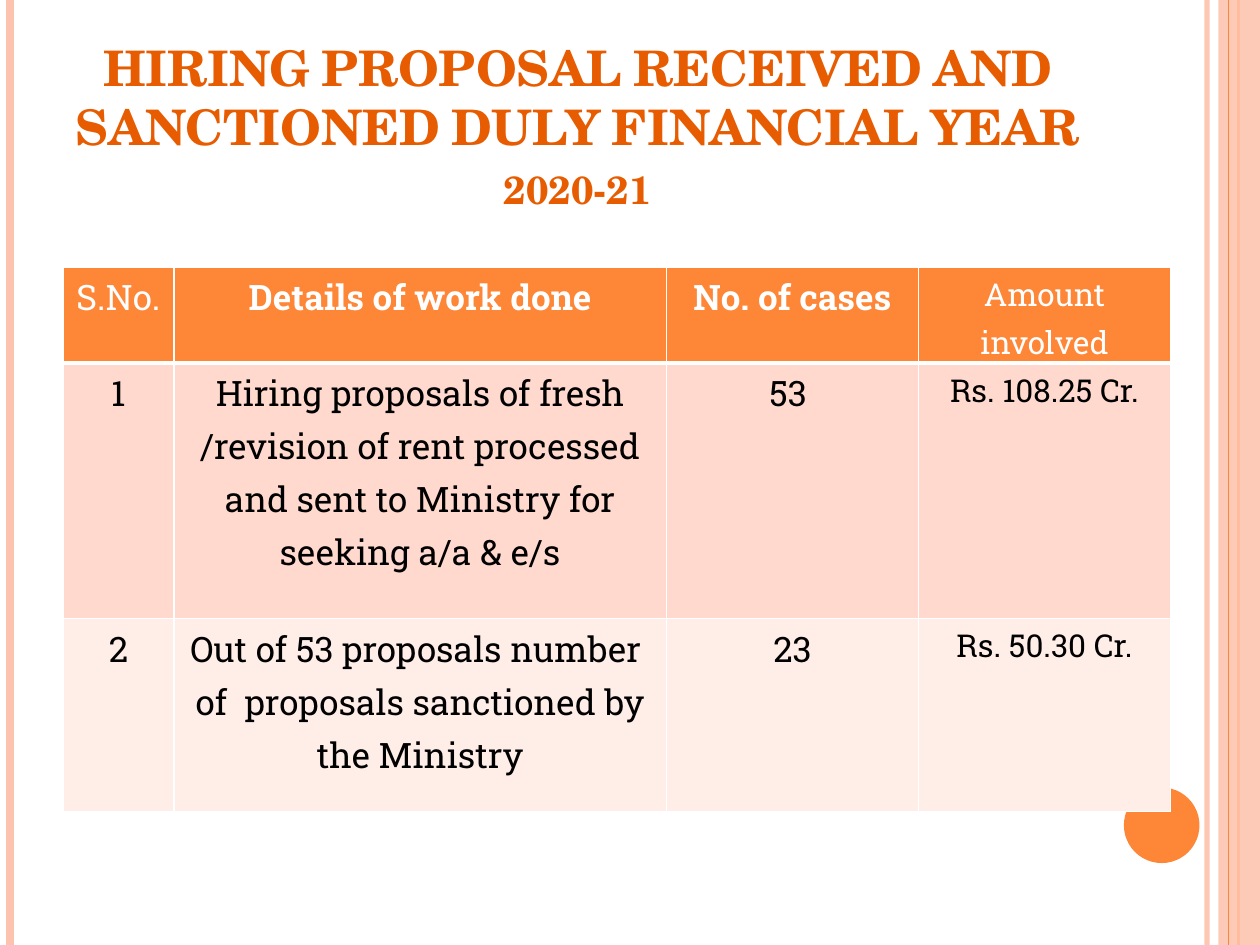
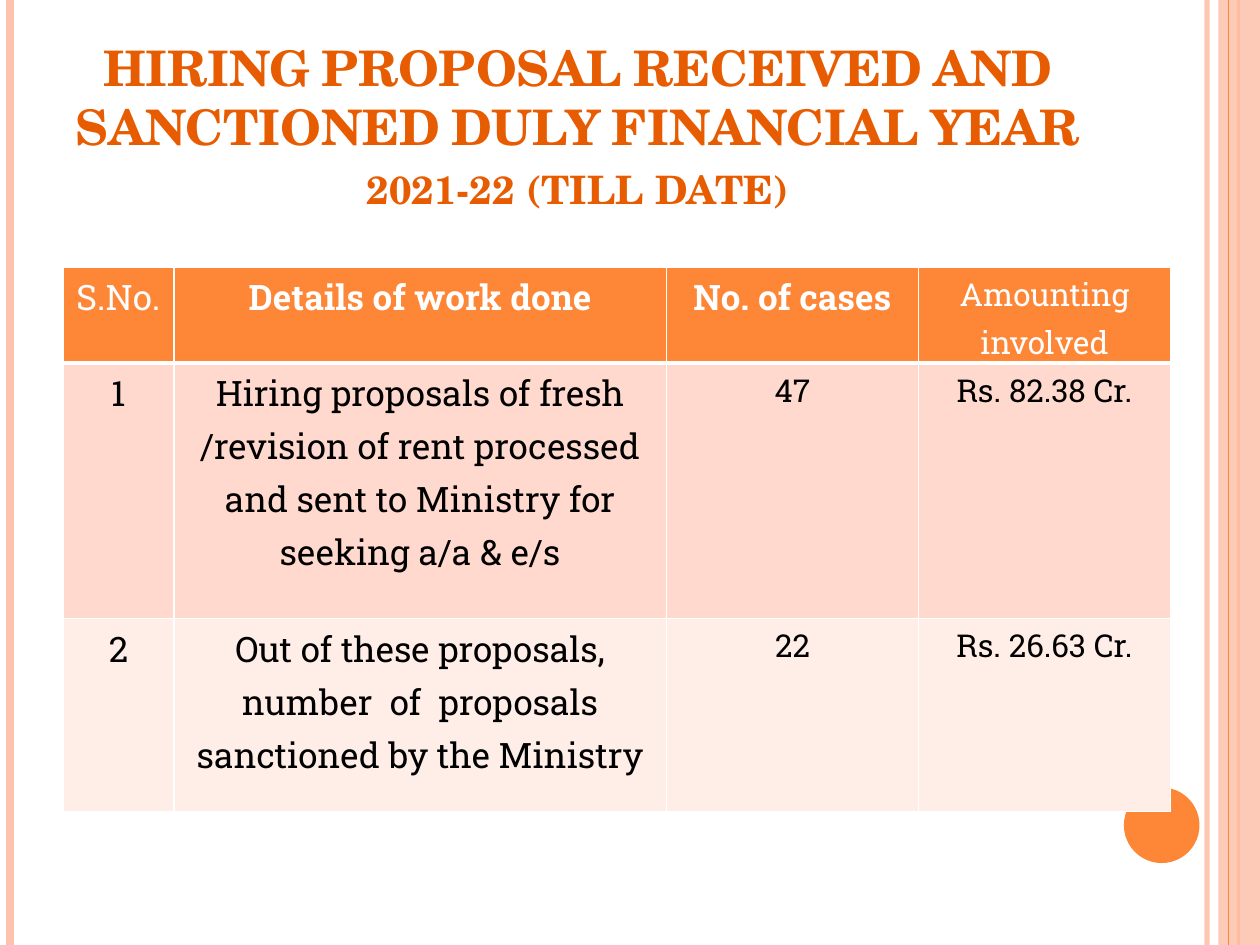
from lxml.etree import SubElement
from pptx import Presentation
from pptx.dml.color import RGBColor
from pptx.enum.shapes import MSO_CONNECTOR, MSO_SHAPE
from pptx.enum.text import MSO_ANCHOR, MSO_AUTO_SIZE, PP_ALIGN
from pptx.oxml.ns import qn
from pptx.util import Inches, Pt

WIDTH, HEIGHT = 10, 7.5
ORANGE, PEACH, RUST = "FE8637", "FEC3AE", "E75C01"
WHITE, BLACK = "FFFFFF", "000000"
BANDS = [ORANGE, "FFD9CE", "FFEDE8"]
SERIF, SLAB = "TeX Gyre Schola", "Roboto Slab"
COLS = [0.88, 3.91, 2, 2]
ROWS = [0.76, 2.03, 1.53]
RULES = [(9.58, PEACH, 3, 93), (0.08, PEACH, 4.5, 100), (9.83, ORANGE, 1.5, 100)]


def color(code):
    return RGBColor.from_string(code)


def fade(item, alpha):
    if alpha < 100:
        for node in item._element.iter(qn("a:srgbClr")):
            SubElement(node, qn("a:alpha"), val=str(alpha * 1000))


class Deck:
    def __init__(self):
        self.file = Presentation()
        self.file.slide_width = Inches(WIDTH)
        self.file.slide_height = Inches(HEIGHT)
        self.slide = None

    def start(self, title):
        self.slide = self.file.slides.add_slide(self.file.slide_layouts[5])
        for rule in RULES:
            self.rule(*rule)
        self.shape(MSO_SHAPE.RECTANGLE, 9.67, 0, 0.33, HEIGHT, PEACH, 87)
        self.rule(9.75, ORANGE, 0.75, 100)
        self.shape(MSO_SHAPE.OVAL, 8.92, 6.25, 0.6, 0.6, ORANGE, 100)
        self.title(title)

    def rule(self, x, code, width, alpha):
        line = self.slide.shapes.add_connector(
            MSO_CONNECTOR.STRAIGHT, Inches(x), 0, Inches(x), Inches(HEIGHT))
        line.line.color.rgb = color(code)
        line.line.width = Pt(width)
        SubElement(line._element.spPr, qn("a:effectLst"))
        fade(line, alpha)

    def shape(self, kind, x, y, w, h, code, alpha):
        item = self.slide.shapes.add_shape(
            kind, Inches(x), Inches(y), Inches(w), Inches(h))
        item.shadow.inherit = False
        item.fill.solid()
        item.fill.fore_color.rgb = color(code)
        item.line.fill.background()
        fade(item, alpha)

    def text(self, para, words, font, size, code, bold):
        para.alignment = PP_ALIGN.CENTER
        run = para.add_run()
        run.text = words
        run.font.name = font
        run.font.size = Pt(size)
        run.font.bold = bold
        run.font.color.rgb = color(code)
        return run

    def title(self, words):
        box = self.slide.shapes.title
        box.left, box.top = Inches(0.5), Inches(0.5)
        box.width, box.height = Inches(8.17), Inches(1.25)
        frame = box.text_frame
        frame.word_wrap = True
        frame.auto_size = MSO_AUTO_SIZE.NONE
        frame.vertical_anchor = MSO_ANCHOR.BOTTOM
        run = self.text(frame.paragraphs[0], words, SERIF, 28, RUST, True)
        run.font._element.set("cap", "small")

    def border(self, cell, head):
        props = cell._tc.get_or_add_tcPr()
        for side in ("lnL", "lnR", "lnT", "lnB"):
            width = 3 if head and side == "lnB" else 1
            line = SubElement(props, qn("a:" + side), w=str(Pt(width)))
            fill = SubElement(line, qn("a:solidFill"))
            SubElement(fill, qn("a:srgbClr"), val=WHITE)

    def cell(self, cell, words, size, row, col):
        head = row == 0
        self.border(cell, head)
        cell.fill.solid()
        cell.fill.fore_color.rgb = color(BANDS[row])
        para = cell.text_frame.paragraphs[0]
        if row or col:
            cell.margin_left = cell.margin_right = Inches(0.07)
            cell.margin_top = cell.margin_bottom = 0
            para.line_spacing = 1.15
        self.text(para, words, SLAB, size, WHITE if head else BLACK,
                  head and col in (1, 2))

    def table(self, rows, sizes):
        grid = self.slide.shapes.add_table(
            len(ROWS), len(COLS), Inches(0.5), Inches(2.12),
            Inches(sum(COLS)), Inches(sum(ROWS))).table
        grid.horz_banding = False
        for col, width in zip(grid.columns, COLS):
            col.width = Inches(width)
        for row, height in zip(grid.rows, ROWS):
            row.height = Inches(height)
        for r, row in enumerate(rows):
            for c, words in enumerate(row):
                size = 20 if r == 0 and c == 2 else sizes[c]
                self.cell(grid.cell(r, c), words, size, r, c)


def main():
    deck = Deck()
    lead = "HIRING PROPOSAL RECEIVED AND SANCTIONED DULY FINANCIAL YEAR "
    heads = ["S.No.", "Details of work done", "No. of cases"]
    sent = ("Hiring proposals of fresh /revision of rent processed "
            "and sent to Ministry for seeking a/a & e/s")

    deck.start(lead + "2020-21")
    deck.table([
        heads + ["Amount involved"],
        ["1", sent, "53 ", "Rs. 108.25 Cr."],
        ["2", "Out of 53 proposals number  of  proposals sanctioned by the Ministry",
         "23", "Rs. 50.30 Cr."],
    ], [20, 20, 20, 18])

    deck.start(lead + "2021-22 (till date)")
    deck.table([
        heads + ["Amounting involved"],
        ["1", sent, "47", "Rs. 82.38 Cr."],
        ["2", "Out of these proposals, number  of  proposals sanctioned by the Ministry",
         "22", "Rs. 26.63 Cr."],
    ], [20, 20, 18, 18])

    deck.file.save("out.pptx")


if __name__ == "__main__":
    main()
